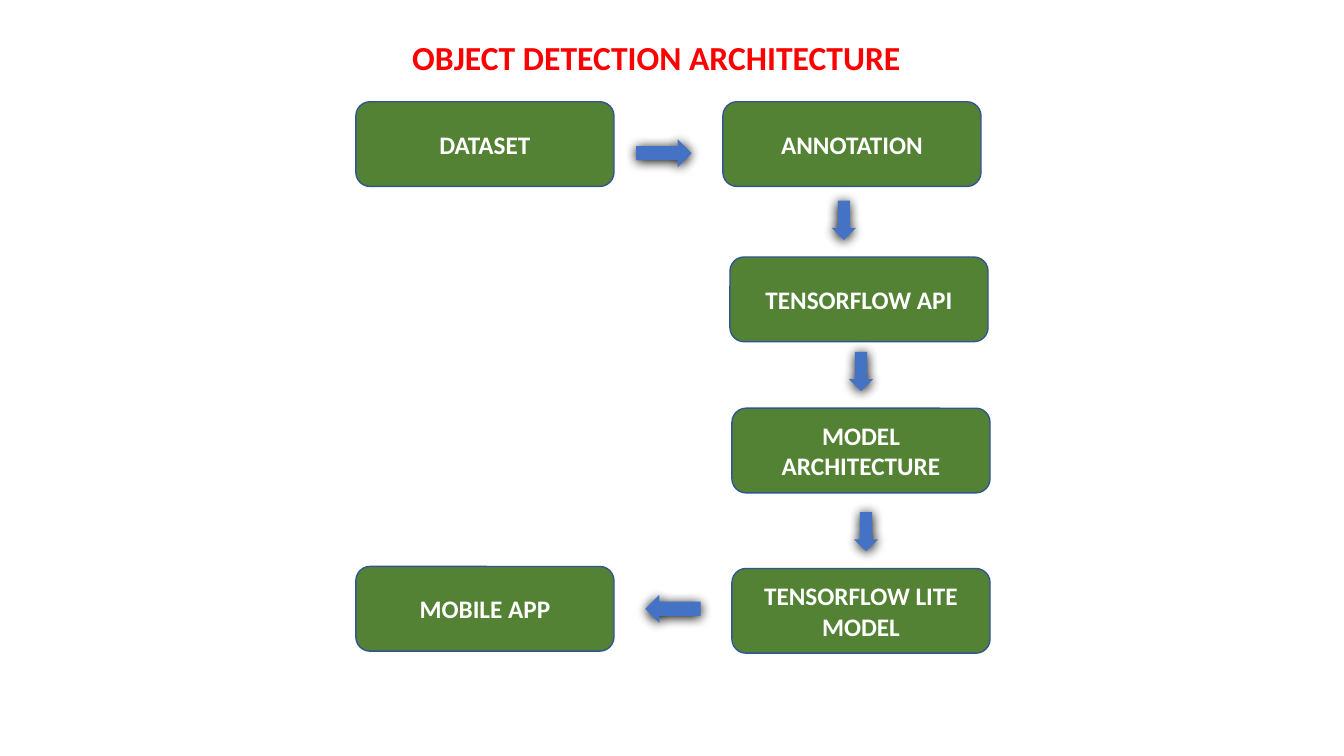
import pptx
import pptx.dml.color
import pptx.enum.shapes
import pptx.enum.text
import pptx.oxml
import pptx.oxml.ns
import pptx.util

RGBColor = pptx.dml.color.RGBColor
MSO_SHAPE = pptx.enum.shapes.MSO_SHAPE

GREEN = RGBColor(0x54, 0x82, 0x35)
NAVY = RGBColor(0x32, 0x54, 0x91)
BLUE = RGBColor(0x44, 0x72, 0xC4)
RED = RGBColor(0xFF, 0x00, 0x00)
WHITE = RGBColor(0xFF, 0xFF, 0xFF)

PX = 9144  # 100 px to the inch
SLIDE_SIZE = (1333, 750)
TITLE_BOX = (399, 32, 550, 50)
FLOW_BOX = (353, 101, 629, 547)
STEP_SIZE = (256, 84)
ARROW_LENGTH, ARROW_WIDTH = 55, 28
DOWN_SIZE = (24, 39)

# Offsets are measured from the corner of the flow box
STEPS = [
    ("DATASET", 0, 0),
    ("ANNOTATION", 364, 0),
    ("TENSORFLOW API", 371, 154),
    ("MODEL ARCHITECTURE", 373, 304),
    ("TENSORFLOW LITE MODEL", 373, 463),
    ("MOBILE APP", 0, 461),
]
ARROWS = [
    (MSO_SHAPE.RIGHT_ARROW, 278, 37),
    (MSO_SHAPE.DOWN_ARROW, 472, 98),
    (MSO_SHAPE.DOWN_ARROW, 489, 248),
    (MSO_SHAPE.DOWN_ARROW, 494, 407),
    (MSO_SHAPE.LEFT_ARROW, 287, 489),
]
SHADOW_XML = (
    f'<a:outerShdw {pptx.oxml.ns.nsdecls("a")} blurRad="107950" dist="12700" '
    'dir="5400000" algn="ctr" rotWithShape="0"><a:srgbClr val="000000"/></a:outerShdw>'
)


def to_emu(*lengths):
    return [pptx.util.Emu(length * PX) for length in lengths]


def set_font(paragraph, size, color):
    paragraph.font.name = "Calibri"
    paragraph.font.size = pptx.util.Pt(size)
    paragraph.font.bold = True
    paragraph.font.color.rgb = color


def add_title(slide, box):
    frame = slide.shapes.add_textbox(*to_emu(*box)).text_frame
    frame.word_wrap = True
    frame.auto_size = pptx.enum.text.MSO_AUTO_SIZE.SHAPE_TO_FIT_TEXT
    paragraph = frame.paragraphs[0]
    paragraph.text = "OBJECT DETECTION ARCHITECTURE"
    set_font(paragraph, 24, RED)


def add_filled_shape(slide, kind, box, color):
    shape = slide.shapes.add_shape(kind, *to_emu(*box))
    shape.fill.solid()
    shape.fill.fore_color.rgb = color
    shape.shadow.inherit = False
    return shape


def add_step(slide, text, box):
    shape = add_filled_shape(slide, MSO_SHAPE.ROUNDED_RECTANGLE, box, GREEN)
    shape.line.color.rgb = NAVY
    shape.line.width = pptx.util.Pt(1)
    frame = shape.text_frame
    frame.word_wrap = True
    frame.vertical_anchor = pptx.enum.text.MSO_ANCHOR.MIDDLE
    paragraph = frame.paragraphs[0]
    paragraph.text = text
    paragraph.alignment = pptx.enum.text.PP_ALIGN.CENTER
    set_font(paragraph, 18, WHITE)


def add_arrow(slide, kind, box):
    shape = add_filled_shape(slide, kind, box, BLUE)
    shape.line.fill.background()
    effects = shape._element.spPr.find(pptx.oxml.ns.qn("a:effectLst"))
    effects.append(pptx.oxml.parse_xml(SHADOW_XML))


def add_flow(slide, box):
    left, top = box[:2]
    # Process steps
    for text, x, y in STEPS:
        add_step(slide, text, (left + x, top + y, *STEP_SIZE))
    # Arrows between the steps
    for kind, x, y in ARROWS:
        is_down = kind == MSO_SHAPE.DOWN_ARROW
        size = DOWN_SIZE if is_down else (ARROW_LENGTH, ARROW_WIDTH)
        add_arrow(slide, kind, (left + x, top + y, *size))


def main():
    presentation = pptx.Presentation()
    presentation.slide_width, presentation.slide_height = to_emu(*SLIDE_SIZE)
    slide = presentation.slides.add_slide(presentation.slide_layouts[6])
    add_title(slide, TITLE_BOX)
    add_flow(slide, FLOW_BOX)
    presentation.save("out.pptx")


if __name__ == "__main__":
    main()
